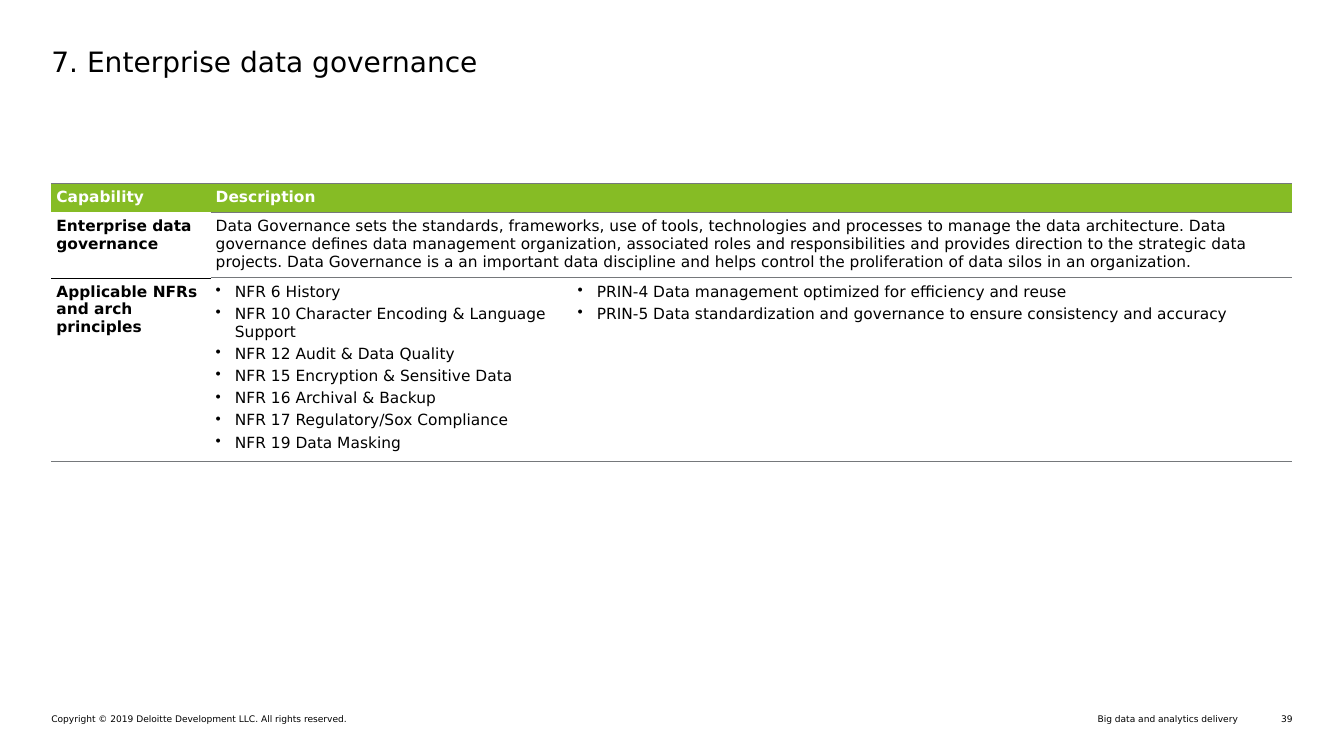
from dataclasses import dataclass

from lxml.etree import SubElement
from pptx import Presentation
from pptx.dml.color import RGBColor
from pptx.enum.text import MSO_ANCHOR, PP_ALIGN
from pptx.oxml.ns import qn
from pptx.slide import Slide
from pptx.table import Table, _Cell
from pptx.text.text import TextFrame
from pptx.util import Inches, Pt

COLORS = {"black": "000000", "white": "FFFFFF", "green": "86BC25", "gray": "75787B"}
FONT = "DejaVu Sans"
NO_STYLE = "{2D5ABB26-0587-4C30-8999-92F81FD0307C}"
COLUMN_WIDTHS = (1.58, 3.59, 7.13)
ROW_HEIGHTS = (0.27, 0.64, 1.79)


@dataclass(frozen=True)
class Footer:
    left: float
    width: float
    text: str
    align: PP_ALIGN = PP_ALIGN.RIGHT


@dataclass(frozen=True)
class Border:
    color: str
    width: float = 0.5


@dataclass(frozen=True)
class Entry:
    row: int
    column: int
    lines: tuple[str, ...]
    bold: bool = False
    bullet: bool = False
    span: int = 1
    top: Border | None = None
    bottom: Border | None = None


GRAY_RULE = Border("gray")
WHITE_RULE = Border("white")
BLACK_RULE = Border("black", 0.25)

FOOTERS = (
    Footer(6.93, 5.35, "Big data and analytics delivery"),
    Footer(0.51, 5.86, "Copyright © 2019 Deloitte Development LLC. All rights reserved.", PP_ALIGN.LEFT),
    Footer(12.48, 0.34, "39"),
)

ENTRIES = (
    Entry(0, 0, ("Capability",), bold=True, top=GRAY_RULE, bottom=WHITE_RULE),
    Entry(0, 1, ("Description",), bold=True, span=2, top=GRAY_RULE, bottom=GRAY_RULE),
    Entry(1, 0, ("Enterprise data governance",), bold=True, top=WHITE_RULE, bottom=BLACK_RULE),
    Entry(1, 1, (
        "Data Governance sets the standards, frameworks, use of tools, technologies and processes "
        "to manage the data architecture. Data governance defines data management organization, "
        "associated roles and responsibilities and provides direction to the strategic data projects. "
        "Data Governance is a an important data discipline and helps control the proliferation of "
        "data silos in an organization.",
    ), span=2, top=GRAY_RULE, bottom=GRAY_RULE),
    Entry(2, 0, ("Applicable NFRs and arch principles",), bold=True, top=BLACK_RULE, bottom=GRAY_RULE),
    Entry(2, 1, (
        "NFR 6 History",
        "NFR 10 Character Encoding & Language Support",
        "NFR 12 Audit & Data Quality",
        "NFR 15 Encryption & Sensitive Data",
        "NFR 16 Archival & Backup",
        "NFR 17 Regulatory/Sox Compliance",
        "NFR 19 Data Masking",
    ), bullet=True, top=GRAY_RULE, bottom=GRAY_RULE),
    Entry(2, 2, (
        "PRIN-4 Data management optimized for efficiency and reuse",
        "PRIN-5 Data standardization and governance to ensure consistency and accuracy",
    ), bullet=True, top=GRAY_RULE, bottom=GRAY_RULE),
)


def write_text(frame: TextFrame, *lines: str, size: float, color: str = "black", bold: bool = False,
               bullet: bool = False, align: PP_ALIGN = PP_ALIGN.LEFT, space_after: float = 0) -> None:
    """Fill a text frame with one formatted paragraph per line."""
    frame.word_wrap = True
    for index, line in enumerate(lines):
        paragraph = frame.add_paragraph() if index else frame.paragraphs[0]
        properties = paragraph._p.get_or_add_pPr()
        if bullet:
            properties.set("marL", str(Inches(0.19)))
            properties.set("indent", str(Inches(-0.19)))
            SubElement(properties, qn("a:buChar"), char="•")
        else:
            SubElement(properties, qn("a:buNone"))
        paragraph.alignment = align
        paragraph.space_before = Pt(0)
        paragraph.space_after = Pt(space_after)
        run = paragraph.add_run()
        run.text = line
        run.font.name = FONT
        run.font.size = Pt(size)
        run.font.bold = bold
        run.font.color.rgb = RGBColor.from_string(COLORS[color])


def clear_margins(frame: TextFrame) -> None:
    """Remove the insets of a text frame and anchor its text at the top."""
    frame.margin_left = frame.margin_right = frame.margin_top = frame.margin_bottom = 0
    frame.vertical_anchor = MSO_ANCHOR.TOP


def set_borders(cell: _Cell, top: Border | None, bottom: Border | None) -> None:
    """Draw the given horizontal borders and hide the vertical ones."""
    properties = cell._tc.get_or_add_tcPr()
    for tag, border in (("a:lnL", None), ("a:lnR", None), ("a:lnT", top), ("a:lnB", bottom)):
        if border is None:
            line = SubElement(properties, qn(tag), w="0")
            SubElement(line, qn("a:noFill"))
        else:
            line = SubElement(properties, qn(tag), w=str(Pt(border.width)))
            fill = SubElement(line, qn("a:solidFill"))
            SubElement(fill, qn("a:srgbClr"), val=COLORS[border.color])


def add_entry(table: Table, entry: Entry) -> None:
    """Format one table entry, merging the columns that it spans."""
    cell = table.cell(entry.row, entry.column)
    last_column = entry.column + entry.span - 1
    if entry.span > 1:
        cell.merge(table.cell(entry.row, last_column))
    is_header = entry.row == 0
    for column in range(entry.column, last_column + 1):
        part = table.cell(entry.row, column)
        set_borders(part, entry.top, entry.bottom)
        if is_header:
            part.fill.solid()
            part.fill.fore_color.rgb = RGBColor.from_string(COLORS["green"])
        else:
            part.fill.background()
    cell.margin_left = cell.margin_right = cell.margin_top = cell.margin_bottom = Inches(0.05)
    write_text(cell.text_frame, *entry.lines, size=11, color="white" if is_header else "black",
               bold=entry.bold, bullet=entry.bullet, space_after=3)


def add_capability_table(slide: Slide) -> None:
    """Add the table of capabilities and their descriptions."""
    frame = slide.shapes.add_table(
        len(ROW_HEIGHTS), len(COLUMN_WIDTHS), Inches(0.51), Inches(1.82),
        Inches(sum(COLUMN_WIDTHS)), Inches(sum(ROW_HEIGHTS)))
    table = frame.table
    table.first_row = table.horz_banding = False
    table._tbl.tblPr.find(qn("a:tableStyleId")).text = NO_STYLE
    for column, width in zip(table.columns, COLUMN_WIDTHS):
        column.width = Inches(width)
    for row, height in zip(table.rows, ROW_HEIGHTS):
        row.height = Inches(height)
    for entry in ENTRIES:
        add_entry(table, entry)


def add_footer(slide: Slide, footer: Footer) -> None:
    """Add one small text at the foot of the slide."""
    shape = slide.shapes.add_textbox(Inches(footer.left), Inches(7.08), Inches(footer.width), Inches(0.11))
    clear_margins(shape.text_frame)
    write_text(shape.text_frame, footer.text, size=6.5, align=footer.align)


def main() -> None:
    """Build the enterprise data governance slide and save it."""
    presentation = Presentation()
    presentation.slide_width = Inches(13.33)
    presentation.slide_height = Inches(7.5)
    slide = presentation.slides.add_slide(presentation.slide_layouts[5])
    title = slide.shapes.title
    title.left, title.top, title.width, title.height = (Inches(value) for value in (0.51, 0.44, 12.31, 0.76))
    clear_margins(title.text_frame)
    write_text(title.text_frame, "7. Enterprise data governance", size=20)
    for footer in FOOTERS:
        add_footer(slide, footer)
    add_capability_table(slide)
    presentation.save("out.pptx")


if __name__ == "__main__":
    main()
